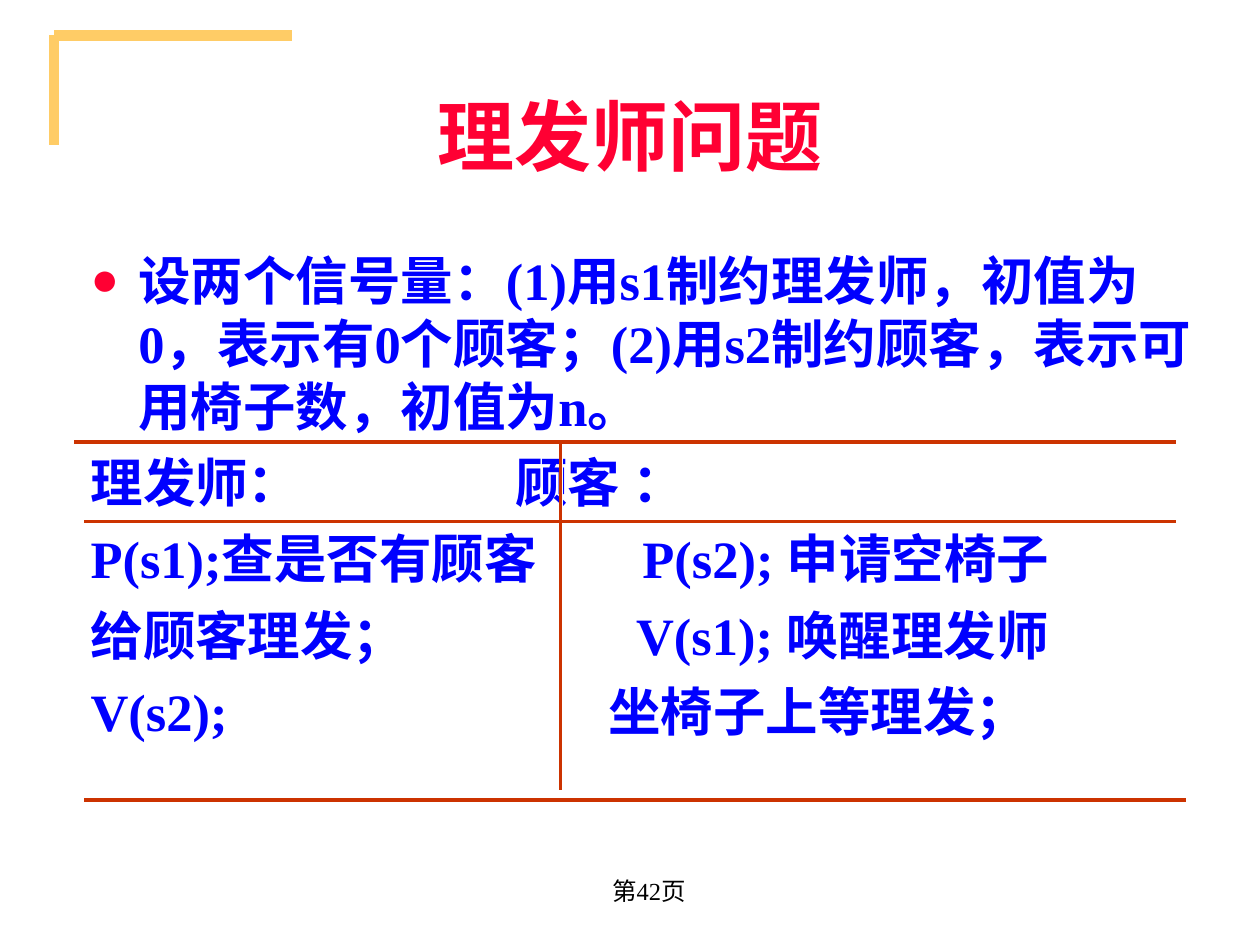
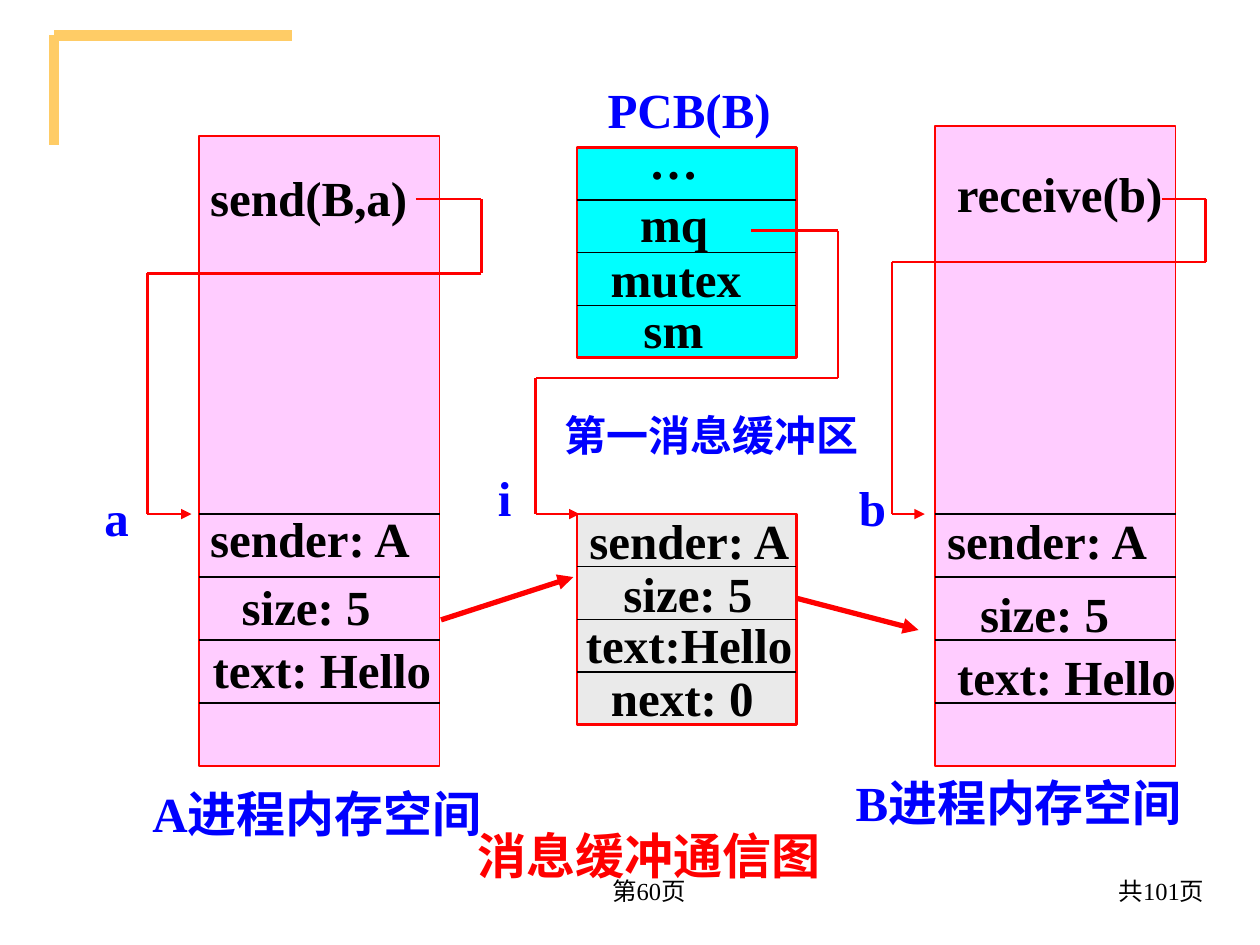
"""Build two slides: the barber problem and message buffer passing."""
import dataclasses
import itertools
import typing

import lxml.etree
import pptx
import pptx.dml.color
import pptx.enum.shapes
import pptx.enum.text
import pptx.oxml.ns
import pptx.util

Inches = pptx.util.Inches
Pt = pptx.util.Pt
Align = pptx.enum.text.PP_ALIGN
Point = tuple[float, float]

SERIF = "Times New Roman"
BLACK, WHITE, BLUE, RED = "000000", "FFFFFF", "0000FF", "FF0000"
ROSE, GOLD, RUST = "FF0033", "FFCC66", "CC3300"
PINK, CYAN, GRAY = "FFCCFF", "00FFFF", "EAEAEA"


@dataclasses.dataclass
class Label:
    """One line of text in a box."""
    text: str
    left: float
    top: float
    width: float
    height: float = 0.57
    size: int = 28
    color: str = BLACK
    bold: bool = True
    font: str = SERIF
    align: Align = Align.CENTER
    middle: bool = False


@dataclasses.dataclass
class Route:
    """A chain of straight lines, with an arrow at its end if asked."""
    points: list[Point]
    color: str = RED
    weight: float = 1.5
    arrow: bool = False


@dataclasses.dataclass
class Block:
    """A box cut into cells by level rules."""
    left: float
    top: float
    width: float
    height: float
    fill: str
    weight: float
    rules: list[float]


@dataclasses.dataclass
class Line:
    """A body line whose second part starts at a tab."""
    text: str
    tab: float = 0


FRAME = [Route([(0.43, 0.28), (2.32, 0.28)], GOLD, 6),
         Route([(0.43, 0.28), (0.43, 1.15)], GOLD, 6)]

TITLE = Label("理发师问题", 0.75, 0.44, 8.5, 1.25, 44, ROSE,
              font="Arial", middle=True)
INTRO = ("设两个信号量：(1)用s1制约理发师，初值为0，表示有0个顾客；"
         "(2)用s2制约顾客，表示可用椅子数，初值为n。")
STEPS = [
    Line("理发师：\t顾客 ：", 3.37),
    Line("P(s1);查是否有顾客\tP(s2); 申请空椅子", 4.38),
    Line("给顾客理发；\tV(s1); 唤醒理发师", 4.33),
    Line("V(s2);\t坐椅子上等理发；", 4.11),
]
GRID = [
    Route([(4.45, 3.51), (4.45, 6.74)], WHITE, 2.25),
    Route([(0.59, 3.51), (9.33, 3.51)], RUST, 2.25),
    Route([(4.45, 3.51), (4.45, 6.27)], RUST),
    Route([(0.67, 6.35), (9.41, 6.35)], RUST, 2.25),
    Route([(0.67, 4.14), (9.33, 4.14)], RUST),
]

SPACE = [4.08 + 0.5 * i for i in range(4)]
BLOCKS = [
    Block(1.58, 1.08, 1.91, 5, PINK, 0.75, SPACE),
    Block(7.42, 1, 1.91, 5.08, PINK, 0.75, SPACE),
    Block(4.58, 1.17, 1.74, 1.67, CYAN, 1.5,
          [1.17 + 1.67 * i / 4 for i in range(1, 4)]),
    Block(4.58, 4.08, 1.74, 1.67, GRAY, 1.5,
          [4.08 + 1.67 * i / 4 for i in range(1, 4)]),
]
ROUTES = [
    Route([(3.3, 1.58), (3.82, 1.58), (3.82, 2.17), (1.17, 2.17),
           (1.17, 4.08), (1.52, 4.08)], arrow=True),
    Route([(5.96, 1.83), (6.65, 1.83), (6.65, 3), (4.25, 3),
           (4.25, 4.08), (4.6, 4.08)], arrow=True),
    Route([(9.22, 1.58), (9.57, 1.58), (9.57, 2.08), (7.08, 2.08),
           (7.08, 4.08), (7.34, 4.08)], arrow=True),
    Route([(3.5, 4.92), (4.55, 4.58)], weight=3, arrow=True),
    Route([(6.33, 4.75), (7.29, 5)], weight=3, arrow=True),
]
LABELS = [
    Label("send(B,a)", 1.57, 1.28, 1.76),
    Label("sender: A", 1.56, 3.99, 1.8),
    Label("size: 5", 1.82, 4.53, 1.22),
    Label("text: Hello", 1.59, 5.03, 1.93),
    Label("…", 5.05, 0.99, 0.59),
    Label("mq", 4.98, 1.49, 0.74),
    Label("mutex", 4.75, 1.92, 1.23),
    Label("sm", 5.01, 2.33, 0.67),
    Label("sender: A", 4.57, 4, 1.8),
    Label("size: 5", 4.85, 4.42, 1.22),
    Label("text:Hello", 4.55, 4.83, 1.84),
    Label("next: 0", 4.75, 5.25, 1.33),
    Label("receive(b)", 7.49, 1.25, 1.84),
    Label("sender: A", 7.41, 4, 1.8),
    Label("size: 5", 7.68, 4.58, 1.22),
    Label("text: Hello", 7.5, 5.08, 1.93),
    Label("a", 0.73, 3.82, 0.39, color=BLUE),
    Label("i", 3.85, 3.66, 0.31, color=BLUE),
    Label("b", 6.72, 3.74, 0.41, color=BLUE),
    Label("PCB(B)", 4.6, 0.58, 1.74, color=BLUE),
    Label("第一消息缓冲区", 4.38, 3.2, 2.53, 0.5, 24, BLUE),
    Label("A进程内存空间", 0.9, 6.17, 3.23, color=BLUE),
    Label("B进程内存空间", 6.57, 6.08, 3.03, color=BLUE),
    Label("消息缓冲通信图", 3.69, 6.5, 2.92, color=RED),
]


def tint(code: str) -> pptx.dml.color.RGBColor:
    """Turn a hex string into a colour."""
    return pptx.dml.color.RGBColor.from_string(code)


def node(root: typing.Any, tag: str, **attrs: str) -> typing.Any:
    """Add a drawing element under root."""
    return lxml.etree.SubElement(root, pptx.oxml.ns.qn(tag), attrs)


def style(para: typing.Any, size: int, color: str, bold: bool,
          name: str = SERIF) -> None:
    """Set the font of a paragraph."""
    font = para.font
    font.name, font.size, font.bold = name, Pt(size), bold
    font.color.rgb = tint(color)


def write(slide: typing.Any, label: Label) -> None:
    """Draw a label without side insets, so that it stays on one line."""
    box = slide.shapes.add_textbox(Inches(label.left), Inches(label.top),
                                   Inches(label.width), Inches(label.height))
    frame = box.text_frame
    frame.word_wrap = False
    frame.margin_left = frame.margin_right = Inches(0)
    if label.middle:
        frame.vertical_anchor = pptx.enum.text.MSO_ANCHOR.MIDDLE
    para = frame.paragraphs[0]
    para.text, para.alignment = label.text, label.align
    style(para, label.size, label.color, label.bold, label.font)


def trace(slide: typing.Any, route: Route) -> None:
    """Draw a route as connectors."""
    for start, end in itertools.pairwise(route.points):
        link = slide.shapes.add_connector(
            pptx.enum.shapes.MSO_CONNECTOR.STRAIGHT,
            *(Inches(v) for v in start + end))
        link.line.color.rgb = tint(route.color)
        link.line.width = Pt(route.weight)
        if route.arrow and end == route.points[-1]:
            node(link.line._get_or_add_ln(), "a:tailEnd", type="triangle")
        node(link._element.spPr, "a:effectLst")


def stack(slide: typing.Any, block: Block) -> None:
    """Draw a block and its rules."""
    shape = slide.shapes.add_shape(
        pptx.enum.shapes.MSO_SHAPE.RECTANGLE, Inches(block.left),
        Inches(block.top), Inches(block.width), Inches(block.height))
    shape.shadow.inherit = False
    shape.fill.solid()
    shape.fill.fore_color.rgb = tint(block.fill)
    shape.line.color.rgb = tint(RED)
    shape.line.width = Pt(block.weight)
    for y in block.rules:
        ends = [(block.left, y), (block.left + block.width, y)]
        trace(slide, Route(ends, BLACK, 0.75))


def begin(deck: typing.Any, page: int) -> typing.Any:
    """Add a slide with the corner frame and page number."""
    slide = deck.slides.add_slide(deck.slide_layouts[6])
    for route in FRAME:
        trace(slide, route)
    write(slide, Label(f"第{page}页", 4.11, 6.82, 2.08, 0.5, 14,
                       bold=False, middle=True))
    return slide


def body(slide: typing.Any) -> None:
    """Write the bulleted intro and the two columns of steps."""
    box = slide.shapes.add_textbox(Inches(0.62), Inches(1.92),
                                   Inches(8.95), Inches(4.67))
    frame = box.text_frame
    frame.word_wrap = True
    para = frame.paragraphs[0]
    para.text = INTRO
    props = para._p.get_or_add_pPr()
    props.set("marL", str(Inches(0.38)))
    props.set("indent", str(Inches(-0.38)))
    node(node(props, "a:buClr"), "a:srgbClr", val=ROSE)
    node(props, "a:buSzPct", val="90000")
    node(props, "a:buFont", typeface=SERIF)
    node(props, "a:buChar", char="●")
    style(para, 30, BLUE, True)
    for step in STEPS:
        para = frame.add_paragraph()
        para.text = step.text
        tabs = node(para._p.get_or_add_pPr(), "a:tabLst")
        node(tabs, "a:tab", pos=str(Inches(step.tab)), algn="l")
        para.space_before = Pt(7.5)
        style(para, 30, BLUE, True)


def barber(deck: typing.Any) -> None:
    """Build the barber slide."""
    slide = begin(deck, 42)
    write(slide, TITLE)
    body(slide)
    for route in GRID:
        trace(slide, route)


def buffer(deck: typing.Any) -> None:
    """Build the message buffer slide."""
    slide = begin(deck, 60)
    write(slide, Label("共101页", 6.5, 6.82, 3.06, 0.5, 14, bold=False,
                       align=Align.RIGHT, middle=True))
    for block in BLOCKS:
        stack(slide, block)
    for label in LABELS:
        write(slide, label)
    for route in ROUTES:
        trace(slide, route)


def main() -> None:
    """Build and save the deck."""
    deck = pptx.Presentation()
    deck.slide_width, deck.slide_height = Inches(10), Inches(7.5)
    barber(deck)
    buffer(deck)
    deck.save("out.pptx")


if __name__ == "__main__":
    main()
